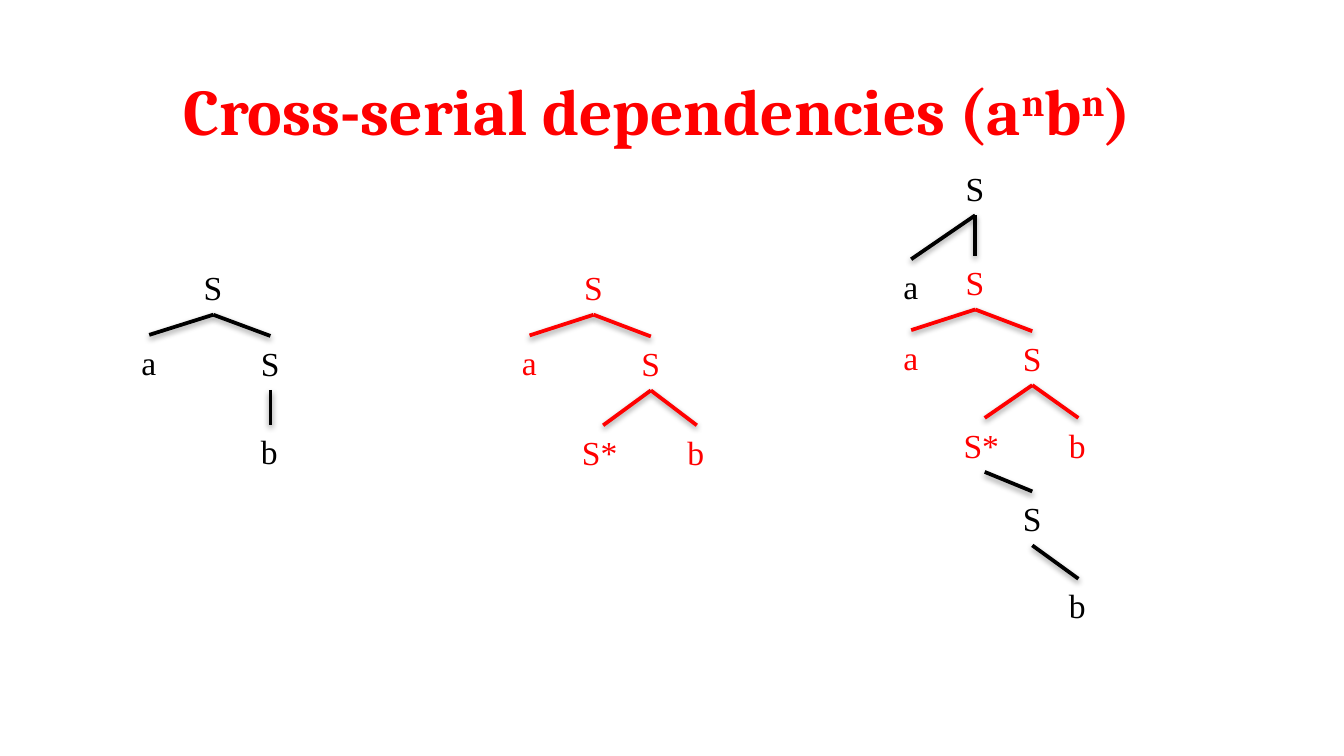
from dataclasses import dataclass

from lxml import etree
from pptx import Presentation
from pptx.dml.color import RGBColor
from pptx.enum.shapes import MSO_CONNECTOR
from pptx.enum.text import MSO_ANCHOR, MSO_AUTO_SIZE, PP_ALIGN
from pptx.oxml import parse_xml
from pptx.oxml.ns import nsdecls, qn
from pptx.util import Cm, Pt


@dataclass(frozen=True)
class Theme:
    black: RGBColor = RGBColor(0, 0, 0)
    red: RGBColor = RGBColor(255, 0, 0)
    title_font: str = "Cambria"
    node_font: str = "Times New Roman"
    title_size: Pt = Pt(35)
    node_size: Pt = Pt(18)
    branch_width: Pt = Pt(2)


@dataclass(frozen=True)
class Box:
    left: float
    top: float
    width: float
    height: float


@dataclass(frozen=True)
class Node:
    """A tree node; dx and dy lead from its parent, in cm."""
    label: str
    color: RGBColor
    dx: float = 0
    dy: float = 0
    children: tuple = ()
    branch_color: RGBColor = None


THEME = Theme()
NODE_HEIGHT = 1.02
NODE_WIDTHS = {"S": 0.86, "a": 0.79, "b": 0.86, "S*": 1.3}
WRAPPED_LABELS = ("b", "S*")
ROOT_INSET = 1.62
BRANCH_SHADOW = (
    f'<a:effectLst {nsdecls("a")}>'
    '<a:outerShdw blurRad="40000" dist="20000" dir="5400000" rotWithShape="0">'
    '<a:srgbClr val="000000"><a:alpha val="38000"/></a:srgbClr>'
    '</a:outerShdw></a:effectLst>'
)


def style(font, name, size, color):
    font.name, font.size, font.color.rgb = name, size, color


def add_title(slide, box):
    title = slide.shapes.add_textbox(Cm(box.left), Cm(box.top), Cm(box.width), Cm(box.height))
    frame = title.text_frame
    frame.word_wrap = True
    frame.vertical_anchor = MSO_ANCHOR.MIDDLE
    paragraph = frame.paragraphs[0]
    paragraph.alignment = PP_ALIGN.CENTER
    style(paragraph.font, THEME.title_font, THEME.title_size, THEME.red)
    paragraph.font.bold = True
    for text in ("Cross-serial dependencies (a", "n", "b", "n", ")"):
        run = paragraph.add_run()
        run.text = text
        if text == "n":
            run.font._element.set("baseline", "30000")


def add_label(shapes, node, x, y):
    width = NODE_WIDTHS[node.label]
    label = shapes.add_textbox(Cm(x - width / 2), Cm(y), Cm(width), Cm(NODE_HEIGHT))
    frame = label.text_frame
    frame.word_wrap = node.label in WRAPPED_LABELS
    frame.auto_size = MSO_AUTO_SIZE.SHAPE_TO_FIT_TEXT
    frame.text = node.label
    style(frame.paragraphs[0].font, THEME.node_font, THEME.node_size, node.color)


def add_branch(shapes, start, end, color):
    branch = shapes.add_connector(MSO_CONNECTOR.STRAIGHT, *map(Cm, start + end))
    branch.line.color.rgb = color
    branch.line.width = THEME.branch_width
    branch._element.find(qn("p:spPr")).append(parse_xml(BRANCH_SHADOW))


def add_node(shapes, node, x, y):
    """Draws a node centred on x, with everything below it."""
    add_label(shapes, node, x, y)
    for child in node.children:
        child_x, child_y = x + child.dx, y + child.dy
        add_branch(shapes, (x, y + NODE_HEIGHT), (child_x, child_y),
                   child.branch_color or child.color)
        add_node(shapes, child, child_x, child_y)


def add_tree(slide, box, root):
    add_node(slide.shapes.add_group_shape().shapes, root, box.left + ROOT_INSET, box.top)


def initial_tree():
    black = THEME.black
    verb = Node("b", black, 0, 1.68)
    return Node("S", black, children=(
        Node("a", black, -1.21, 1.4),
        Node("S", black, 1.08, 1.42, (verb,)),
    ))


def auxiliary_tree(dy=0, foot_step=1.68, foot_children=(), branch_color=None):
    red = THEME.red
    foot = Node("S*", red, -0.9, foot_step, foot_children)
    inner = Node("S", red, 1.08, 1.43, (foot, Node("b", red, 0.87, foot_step)))
    return Node("S", red, 0, dy, (Node("a", red, -1.21, 1.41), inner), branch_color)


def derived_tree():
    """The initial tree with the auxiliary tree adjoined at its inner S."""
    black = THEME.black
    lower = Node("S", black, 0.9, 1.39, (Node("b", black, 0.87, 1.65),))
    adjoined = auxiliary_tree(1.78, 1.64, (lower,), black)
    return Node("S", black, children=(Node("a", black, -1.21, 1.85), adjoined))


def main():
    presentation = Presentation()
    presentation.slide_width, presentation.slide_height = Cm(25.4), Cm(14.29)
    slide = presentation.slides.add_slide(presentation.slide_layouts[6])
    add_title(slide, Box(0.71, 1.09, 23.42, 1.96))
    add_tree(slide, Box(2.41, 4.93, 3.13, 4.12), initial_tree())
    add_tree(slide, Box(9.6, 4.93, 4, 4.12), auxiliary_tree())
    add_tree(slide, Box(16.81, 3.05, 4, 8.94), derived_tree())
    presentation.save("out.pptx")


if __name__ == "__main__":
    main()
